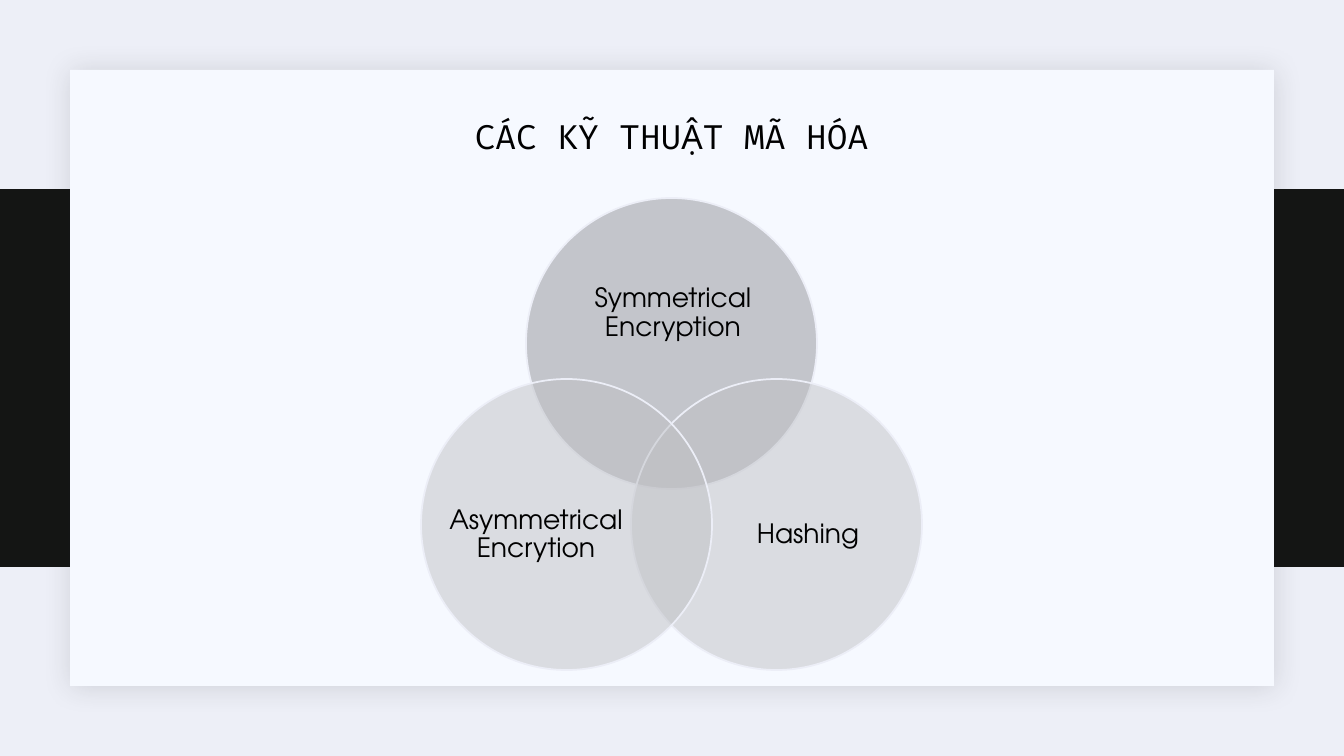
from dataclasses import dataclass

from lxml import etree
from pptx import Presentation
from pptx import util as u
from pptx.dml.color import RGBColor
from pptx.enum import shapes, text
from pptx.oxml import ns


@dataclass(frozen=True)
class Theme:
    backdrop: str = "EDEFF7"
    band: str = "141514"
    card: str = "F6F9FF"
    shadow: str = "1F2125"
    ink: str = "000000"
    outline: str = "ECEEF7"
    top_circle: str = "929399"
    low_circle: str = "C0C1C5"
    title_font: str = "Fira Code"
    label_font: str = "TeX Gyre Adventor"
    title_size: int = 24
    label_size: int = 19


THEME = Theme()
WIDTH, HEIGHT = 1344, 756
EMU_PER_PIXEL = 12192000 / WIDTH
DIAMETER = 291


def px(*lengths):
    return [u.Emu(round(length * EMU_PER_PIXEL)) for length in lengths]


def add_child(parent, tag, **attributes):
    child = etree.SubElement(parent, ns.qn(tag))
    for name, value in attributes.items():
        child.set(name, str(value))
    return child


def add_solid(parent, kind, box, color):
    solid = parent.add_shape(kind, *px(*box))
    solid.shadow.inherit = False
    solid.fill.solid()
    solid.fill.fore_color.rgb = RGBColor.from_string(color)
    solid.line.fill.background()
    return solid


def add_soft_shadow(card):
    effects = card._element.spPr.find(ns.qn("a:effectLst"))
    shadow = add_child(effects, "a:outerShdw", blurRad=u.Pt(20), dist=u.Pt(2),
                       dir=45 * 60000, algn="ctr", rotWithShape=0)
    color = add_child(shadow, "a:srgbClr", val=THEME.shadow)
    add_child(color, "a:alpha", val=15000)


def add_circle(parent, left, top, color):
    circle = add_solid(parent, shapes.MSO_SHAPE.OVAL, (left, top, DIAMETER, DIAMETER), color)
    tint = circle._element.spPr.find(ns.qn("a:solidFill")).find(ns.qn("a:srgbClr"))
    add_child(tint, "a:alpha", val=50000)
    circle.line.color.rgb = RGBColor.from_string(THEME.outline)
    circle.line.width = u.Pt(1.25)


def add_text(parent, box, wording, font, size):
    words = parent.add_textbox(*px(*box))
    frame = words.text_frame
    frame.word_wrap = True
    frame.text = wording
    line = frame.paragraphs[0]
    line.alignment = text.PP_ALIGN.CENTER
    style = line.runs[0].font
    style.name, style.size = font, u.Pt(size)
    style.color.rgb = RGBColor.from_string(THEME.ink)
    return frame


def add_label(parent, box, wording):
    frame = add_text(parent, box, wording, THEME.label_font, THEME.label_size)
    frame.margin_left = frame.margin_right = frame.margin_top = frame.margin_bottom = 0
    frame.vertical_anchor = text.MSO_ANCHOR.MIDDLE
    frame.paragraphs[0].line_spacing = 0.9


def add_venn(slide):
    sets = [
        ("Symmetrical Encryption", (526, 198), (566, 248, 214, 131), THEME.top_circle),
        ("Hashing", (631, 379), (721, 455, 174, 160), THEME.low_circle),
        ("Asymmetrical Encrytion", (421, 379), (449, 455, 174, 160), THEME.low_circle),
    ]
    venn = slide.shapes.add_group_shape().shapes
    for wording, corner, label_box, color in sets:
        add_circle(venn, *corner, color)
        add_label(venn, label_box, wording)


def main():
    deck = Presentation()
    deck.slide_width, deck.slide_height = px(WIDTH, HEIGHT)
    slide = deck.slides.add_slide(deck.slide_layouts[6])
    slide.background.fill.solid()
    slide.background.fill.fore_color.rgb = RGBColor.from_string(THEME.backdrop)

    rectangle = shapes.MSO_SHAPE.RECTANGLE
    add_solid(slide.shapes, rectangle, (0, 189, WIDTH, 378), THEME.band)
    card = add_solid(slide.shapes, rectangle, (70, 70, 1204, 616), THEME.card)
    add_soft_shadow(card)
    title = add_text(slide.shapes, (356, 111, 631, 50), "CÁC KỸ THUẬT MÃ HÓA",
                     THEME.title_font, THEME.title_size)
    title.auto_size = text.MSO_AUTO_SIZE.SHAPE_TO_FIT_TEXT
    add_venn(slide)
    deck.save("out.pptx")


main()
